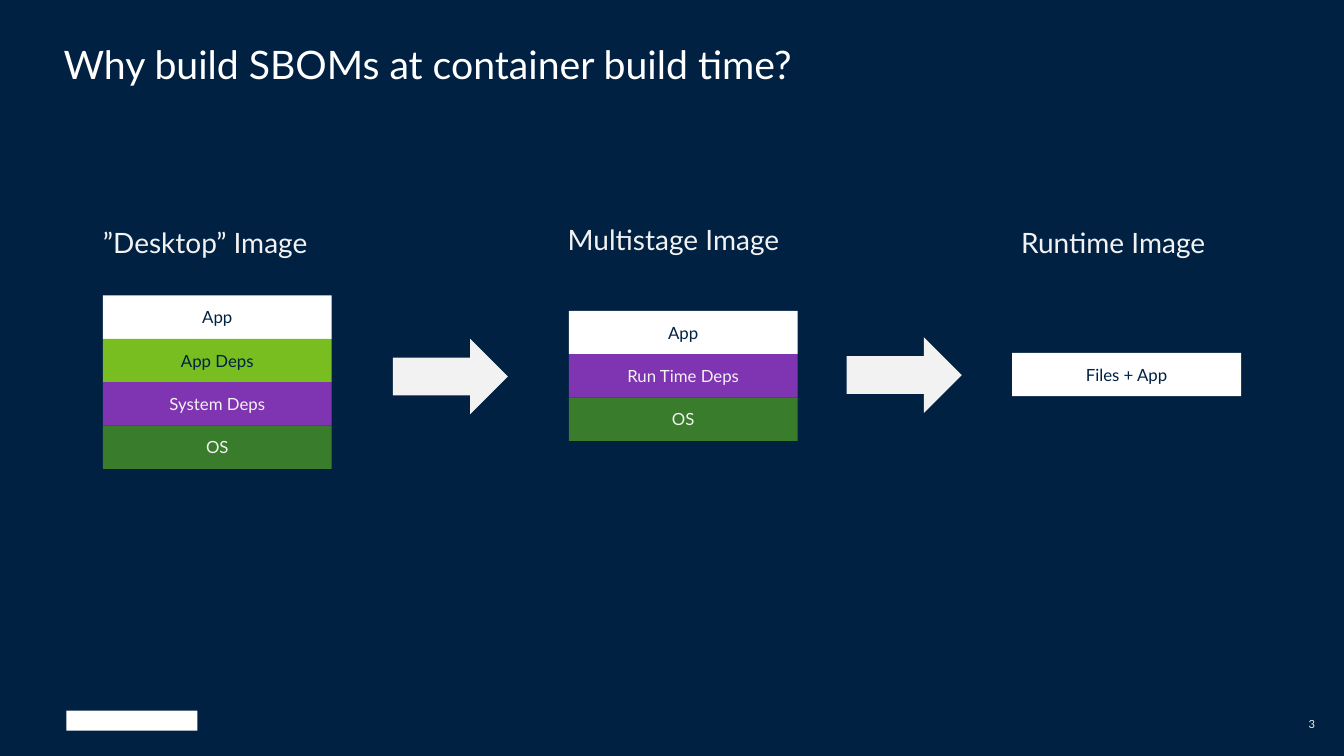
from pptx import Presentation
from pptx.dml.color import RGBColor
from pptx.enum.shapes import MSO_SHAPE as SHAPE
from pptx.enum.text import MSO_ANCHOR as ANCHOR, MSO_AUTO_SIZE as AUTO, PP_ALIGN as ALIGN
from pptx.util import Pt

NAVY = RGBColor(0x00, 0x21, 0x42)
WHITE = RGBColor(0xFF, 0xFF, 0xFF)
PALE = RGBColor(0xF2, 0xF2, 0xF2)
LIME = RGBColor(0x78, 0xBE, 0x20)
PURPLE = RGBColor(0x7F, 0x35, 0xB2)
GREEN = RGBColor(0x38, 0x7C, 0x2C)
FONT = "Lato"
LAYER_W, LAYER_H = 163.5, 31

# Heading, its left and top, stack left and top, layers (text, fill, text colour)
STAGES = [
    ("”Desktop” Image", 73.5, 161.3, 73.5, 211,
     [("App", WHITE, NAVY), ("App Deps", LIME, NAVY),
      ("System Deps", PURPLE, PALE), ("OS", GREEN, PALE)]),
    ("Multistage Image", 405.5, 159.2, 406.3, 222,
     [("App", WHITE, NAVY), ("Run Time Deps", PURPLE, PALE), ("OS", GREEN, PALE)]),
    ("Runtime Image", 729.3, 161.3, 723, 252,
     [("Files + App", WHITE, NAVY)]),
]
ARROWS = [(280.6, 242), (604.8, 240.9)]


def write(s, text, size, color, align=ALIGN.LEFT, after=0, line=1.0):
    tf = s.text_frame
    tf.text = text
    p = tf.paragraphs[0]
    p.alignment = align
    p.space_before, p.space_after, p.line_spacing = Pt(0), Pt(after), line
    font = p.runs[0].font
    font.name, font.size, font.color.rgb = FONT, Pt(size), color


def frame(s, anchor):
    tf = s.text_frame
    tf.margin_left = tf.margin_top = tf.margin_right = tf.margin_bottom = 0
    tf.auto_size = AUTO.NONE
    tf.word_wrap = True
    tf.vertical_anchor = anchor


def add_title(slide, text):
    s = slide.shapes.title
    s.left, s.top, s.width, s.height = Pt(45.4), Pt(32.4), Pt(866), Pt(30.2)
    frame(s, ANCHOR.BOTTOM)
    write(s, text, 28, WHITE, line=0.9)


def add_label(slide, x, y, w, h, text, size, anchor=ANCHOR.TOP, **style):
    s = slide.shapes.add_textbox(Pt(x), Pt(y), Pt(w), Pt(h))
    frame(s, anchor)
    write(s, text, size, PALE, **style)


def add_block(slide, kind, x, y, w, h, fill):
    s = slide.shapes.add_shape(kind, Pt(x), Pt(y), Pt(w), Pt(h))
    s.shadow.inherit = False
    s.fill.solid()
    s.fill.fore_color.rgb = fill
    s.line.fill.background()
    return s


def add_stack(slide, x, y, layers):
    for i, (text, fill, color) in enumerate(layers):
        s = add_block(slide, SHAPE.RECTANGLE, x, y + i * LAYER_H, LAYER_W, LAYER_H, fill)
        s.text_frame.vertical_anchor = ANCHOR.MIDDLE
        write(s, text, 12, color, ALIGN.CENTER, after=6)


def main():
    prs = Presentation()
    prs.slide_width, prs.slide_height = Pt(960), Pt(540)
    slide = prs.slides.add_slide(prs.slide_layouts[5])
    slide.background.fill.solid()
    slide.background.fill.fore_color.rgb = NAVY

    # Title
    add_title(slide, "Why build SBOMs at container build time?")

    # Image stages and the arrows between them
    for x, y in ARROWS:
        add_block(slide, SHAPE.RIGHT_ARROW, x, y, 82.2, 54, PALE)
    for heading, head_x, head_y, x, y, layers in STAGES:
        add_label(slide, head_x, head_y, 165, 24.5, heading, 20, after=6)
        add_stack(slide, x, y, layers)

    # Footer: plain brand bar and page number
    add_block(slide, SHAPE.RECTANGLE, 47.5, 507.6, 93.6, 14.4, WHITE)
    add_label(slide, 905, 503.3, 34.5, 28.8, "3", 8, ANCHOR.MIDDLE,
              align=ALIGN.RIGHT, line=0.9)

    prs.save("out.pptx")


if __name__ == "__main__":
    main()
